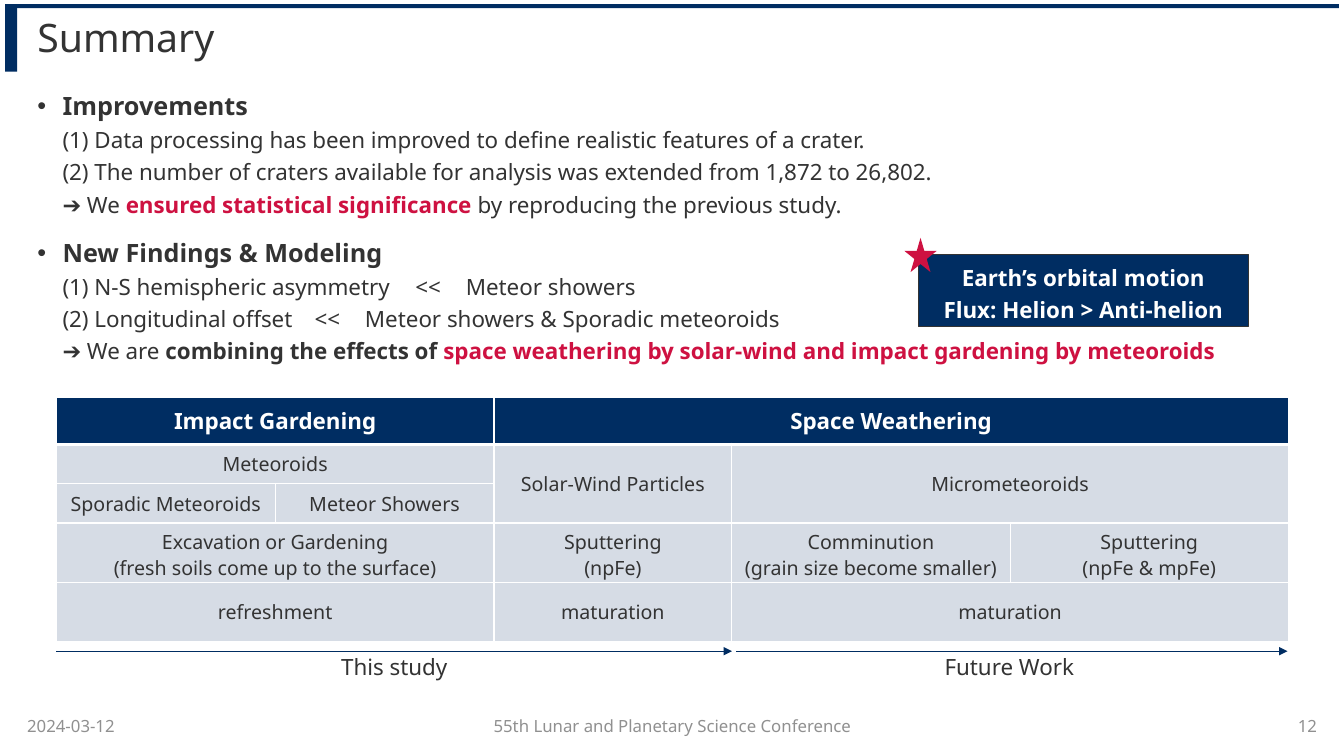
"""Build the summary slide of a lunar crater study talk."""
from dataclasses import dataclass

from lxml import etree
from pptx import Presentation
from pptx.dml.color import RGBColor
from pptx.enum.shapes import MSO_CONNECTOR, MSO_SHAPE
from pptx.enum.text import MSO_ANCHOR, PP_ALIGN
from pptx.oxml.ns import qn
from pptx.util import Inches, Pt

NAVY = RGBColor(0x00, 0x2D, 0x62)
RED = RGBColor(0xCE, 0x11, 0x41)
DARK = RGBColor(0x33, 0x33, 0x33)
GRAY = RGBColor(0x90, 0x90, 0x90)
PALE = RGBColor(0xD6, 0xDC, 0xE5)
WHITE = RGBColor(0xFF, 0xFF, 0xFF)
FONT = "Noto Sans"
LEFT, CENTER, RIGHT = PP_ALIGN.LEFT, PP_ALIGN.CENTER, PP_ALIGN.RIGHT
TOP, MIDDLE = MSO_ANCHOR.TOP, MSO_ANCHOR.MIDDLE
RECTANGLE, STAR = MSO_SHAPE.RECTANGLE, MSO_SHAPE.STAR_5_POINT
STRAIGHT = MSO_CONNECTOR.STRAIGHT
HANGING = 0.25
TAB_STOPS = (3.68, 4.04)
COLUMNS = (2.17, 2.17, 2.36, 2.76, 2.76)
ROWS = (0.47, 0.39, 0.39, 0.59, 0.59)
ARROW_Y = 6.46


@dataclass(frozen=True)
class Label:
    text: str
    box: tuple[float, float, float, float]
    size: float
    color: RGBColor = DARK
    align: PP_ALIGN = CENTER
    anchor: MSO_ANCHOR = MIDDLE
    inset: float = 0.1
    spacing: float = 1.0


@dataclass(frozen=True)
class Span:
    text: str
    bold: bool = False
    color: RGBColor = DARK


@dataclass(frozen=True)
class Topic:
    heading: str
    lines: tuple[tuple[Span, ...], ...]


@dataclass(frozen=True)
class Entry:
    row: int
    column: int
    text: str
    rows: int = 1
    columns: int = 1


LABELS = (
    Label("Summary", (0.17, 0.08, 12.99, 0.63), 28, align=LEFT, inset=0.2, spacing=0.9),
    Label("2024-03-12", (0.17, 7.01, 3.15, 0.39), 12, GRAY, LEFT),
    Label("55th Lunar and Planetary Science Conference", (3.52, 7.01, 6.3, 0.39), 12, GRAY),
    Label("12", (10.01, 7.01, 3.15, 0.39), 12, GRAY, RIGHT),
    Label("This study", (3.05, 6.43, 1.72, 0.37), 16, anchor=TOP),
    Label("Future Work", (9.15, 6.43, 1.72, 0.37), 16, anchor=TOP),
)
TOPICS = (
    Topic("Improvements", (
        (Span("(1) Data processing has been improved to define realistic features of a crater."),),
        (Span("(2) The number of craters available for analysis was extended from 1,872 to 26,802."),),
        (Span("➔ We "), Span("ensured statistical significance", True, RED),
         Span(" by reproducing the previous study.")),
    )),
    Topic("New Findings & Modeling", (
        (Span("(1) N-S hemispheric asymmetry\t<<\tMeteor showers"),),
        (Span("(2) Longitudinal offset\t<<\tMeteor showers & Sporadic meteoroids"),),
        (Span("➔ We are "), Span("combining the effects of ", True),
         Span("space weathering by solar-wind and impact gardening by meteoroids", True, RED)),
    )),
)
ENTRIES = (
    Entry(0, 0, "Impact Gardening", columns=2),
    Entry(0, 2, "Space Weathering", columns=3),
    Entry(1, 0, "Meteoroids", columns=2),
    Entry(1, 2, "Solar-Wind Particles", rows=2),
    Entry(1, 3, "Micrometeoroids", rows=2, columns=2),
    Entry(2, 0, "Sporadic Meteoroids"),
    Entry(2, 1, "Meteor Showers"),
    Entry(3, 0, "Excavation or Gardening\n(fresh soils come up to the surface)", columns=2),
    Entry(3, 2, "Sputtering\n(npFe)"),
    Entry(3, 3, "Comminution\n(grain size become smaller)"),
    Entry(3, 4, "Sputtering\n(npFe & mpFe)"),
    Entry(4, 0, "refreshment", columns=2),
    Entry(4, 2, "maturation"),
    Entry(4, 3, "maturation", columns=2),
)


def style_run(run, size: float, color: RGBColor, bold: bool = False) -> None:
    run.font.name, run.font.size, run.font.bold = FONT, Pt(size), bold
    run.font.color.rgb = color


def write(frame, text: str, size: float, color: RGBColor, bold: bool = False,
          align: PP_ALIGN = CENTER, spacing: float = 1.0) -> None:
    frame.text = text
    for paragraph in frame.paragraphs:
        paragraph.alignment, paragraph.line_spacing = align, spacing
        for run in paragraph.runs:
            style_run(run, size, color, bold)


def add_text_area(shapes, box: tuple, anchor: MSO_ANCHOR, inset: float):
    frame = shapes.add_textbox(*map(Inches, box)).text_frame
    frame.word_wrap, frame.vertical_anchor = True, anchor
    frame.margin_left = frame.margin_right = Inches(inset)
    return frame


def add_solid(shapes, kind: MSO_SHAPE, box: tuple, color: RGBColor):
    solid = shapes.add_shape(kind, *map(Inches, box))
    solid.shadow.inherit = False
    solid.fill.solid()
    solid.fill.fore_color.rgb = color
    solid.line.fill.background()
    return solid


def add_body_line(frame, spans: tuple[Span, ...], size: float, bullet: bool, gap: float) -> None:
    first = frame.paragraphs[0]
    line = frame.add_paragraph() if first.runs else first
    line.line_spacing, line.space_before = 1.2, Pt(gap)
    props = line._p.get_or_add_pPr()
    props.set("marL", str(Inches(HANGING)))
    props.set("indent", str(-Inches(HANGING) if bullet else 0))
    if bullet:
        etree.SubElement(props, qn("a:buFont"), typeface="Arial")
        etree.SubElement(props, qn("a:buChar"), char="•")
    elif any("\t" in span.text for span in spans):
        tabs = etree.SubElement(props, qn("a:tabLst"))
        for stop in TAB_STOPS:
            etree.SubElement(tabs, qn("a:tab"), pos=str(Inches(stop)), algn="l")
    for span in spans:
        run = line.add_run()
        run.text = span.text
        style_run(run, size, span.color, span.bold)


def set_borders(cell, row: int, last_row: int) -> None:
    props = cell._tc.get_or_add_tcPr()
    widths = {"L": 1, "R": 1, "T": 3 if row == 1 else 1, "B": 3 if last_row == 0 else 1}
    for side, width in widths.items():
        border = etree.SubElement(props, qn(f"a:ln{side}"), w=str(Pt(width)))
        fill = etree.SubElement(border, qn("a:solidFill"))
        etree.SubElement(fill, qn("a:srgbClr"), val=str(WHITE))


def add_process_table(shapes) -> None:
    table = shapes.add_table(len(ROWS), len(COLUMNS), Inches(0.56), Inches(3.94),
                             Inches(sum(COLUMNS)), Inches(sum(ROWS))).table
    table.horz_banding = False
    for column, width in zip(table.columns, COLUMNS):
        column.width = Inches(width)
    for row, height in zip(table.rows, ROWS):
        row.height = Inches(height)
    for entry in ENTRIES:
        header = entry.row == 0
        last_row, last_column = entry.row + entry.rows - 1, entry.column + entry.columns - 1
        origin = table.cell(entry.row, entry.column)
        if (entry.rows, entry.columns) != (1, 1):
            origin.merge(table.cell(last_row, last_column))
        for row in range(entry.row, last_row + 1):
            for column in range(entry.column, last_column + 1):
                cell = table.cell(row, column)
                set_borders(cell, row, row)
                cell.fill.solid()
                cell.fill.fore_color.rgb = NAVY if header else PALE
        origin.vertical_anchor = MIDDLE
        write(origin.text_frame, entry.text, 16 if header else 14, WHITE if header else DARK, header)


def add_arrow(shapes, start: float, end: float) -> None:
    arrow = shapes.add_connector(STRAIGHT, *map(Inches, (start, ARROW_Y, end, ARROW_Y)))
    arrow.line.color.rgb, arrow.line.width = NAVY, Pt(0.5)
    etree.SubElement(arrow.line._get_or_add_ln(), qn("a:tailEnd"), type="triangle")
    etree.SubElement(arrow._element.spPr, qn("a:effectLst"))


def main() -> None:
    deck = Presentation()
    deck.slide_width, deck.slide_height = Inches(13.33), Inches(7.5)
    shapes = deck.slides.add_slide(deck.slide_layouts[6]).shapes
    add_solid(shapes, RECTANGLE, (0.05, 0.04, 0.12, 0.67), NAVY)
    add_solid(shapes, RECTANGLE, (0.05, 0.04, 13.23, 0.04), NAVY)
    body = add_text_area(shapes, (0.17, 0.79, 12.99, 6.1), TOP, 0.2)
    for number, topic in enumerate(TOPICS):
        add_body_line(body, (Span(topic.heading, True),), 18, True, 10 if number else 0)
        for spans in topic.lines:
            add_body_line(body, spans, 16, False, 0)
    for label in LABELS:
        frame = add_text_area(shapes, label.box, label.anchor, label.inset)
        write(frame, label.text, label.size, label.color, align=label.align, spacing=label.spacing)
    add_process_table(shapes)
    for start, end in ((0.56, 7.26), (7.3, 12.77)):
        add_arrow(shapes, start, end)
    callout = shapes.add_group_shape().shapes
    flux = add_solid(callout, RECTANGLE, (9.11, 2.52, 3.27, 0.72), NAVY)
    flux.line.color.rgb, flux.line.width = DARK, Pt(0.75)
    flux.text_frame.vertical_anchor = TOP
    write(flux.text_frame, "Earth’s orbital motion\nFlux: Helion > Anti-helion", 16, WHITE, True, spacing=1.2)
    add_solid(callout, STAR, (8.97, 2.36, 0.32, 0.34), RED)
    deck.save("out.pptx")


if __name__ == "__main__":
    main()
